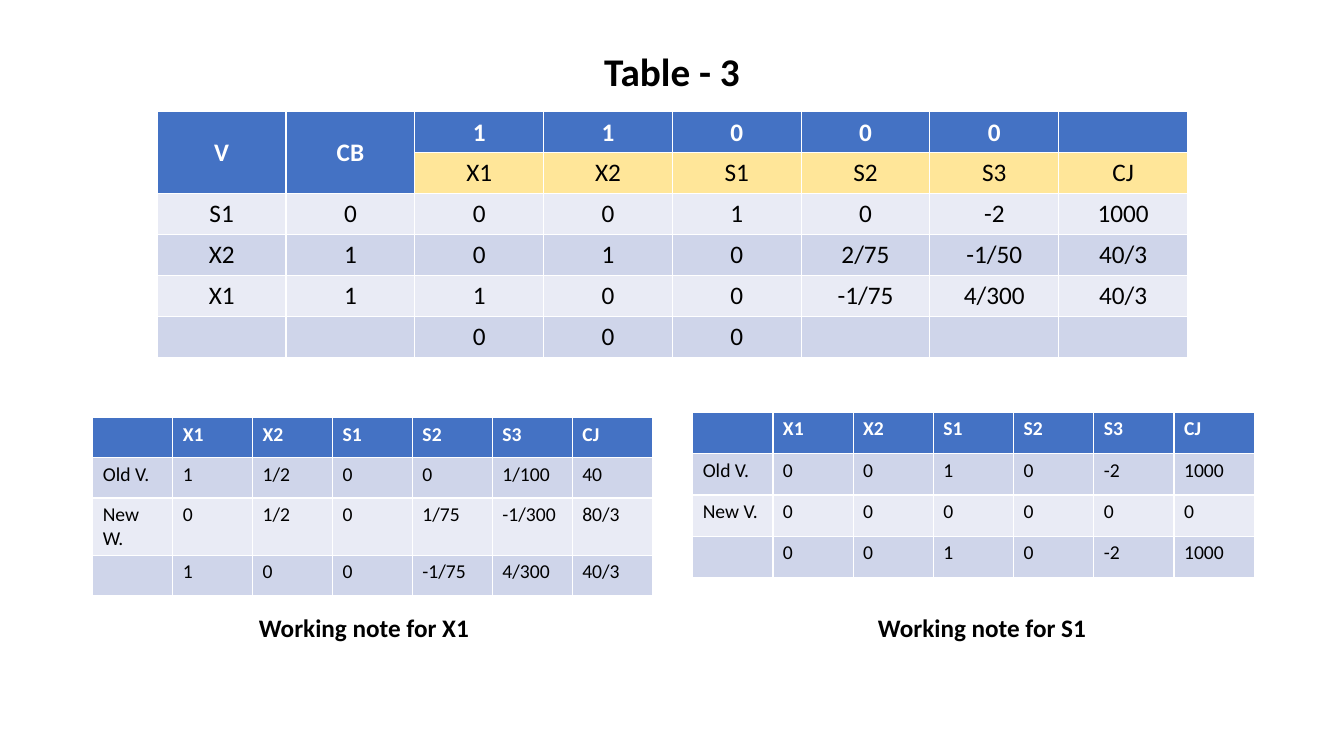
"""Builds the simplex Table - 3 slide with its two working notes."""
from pptx import Presentation, util as u
from pptx.dml.color import RGBColor
from pptx.enum import text

TITLE = ("Table - 3", 4.61, 0.42, 4.11, 0.57, 28)
NOTES = [
    ("Working note for X1", 1.67, 6.03, 3.88, 0.4, 18),
    ("Working note for S1", 7.8, 6.03, 3.88, 0.4, 18),
]
SIMPLEX = [
    ["V", "CB", "1", "1", "0", "0", "0", ""],
    ["", "", "X1", "X2", "S1", "S2", "S3", "CJ"],
    ["S1", "0", "0", "0", "1", "0", "-2", "1000"],
    ["X2", "1", "0", "1", "0", "2/75", "-1/50", "40/3"],
    ["X1", "1", "1", "0", "0", "-1/75", "4/300", "40/3"],
    ["", "", "0", "0", "0", "", "", ""],
]
HEADINGS = ["", "X1", "X2", "S1", "S2", "S3", "CJ"]
X1_WORKING = [
    HEADINGS,
    ["Old V.", "1", "1/2", "0", "0", "1/100", "40"],
    ["New W.", "0", "1/2", "0", "1/75", "-1/300", "80/3"],
    ["", "1", "0", "0", "-1/75", "4/300", "40/3"],
]
S1_WORKING = [
    HEADINGS,
    ["Old V.", "0", "0", "1", "0", "-2", "1000"],
    ["New V.", "0", "0", "0", "0", "0", "0"],
    ["", "0", "0", "1", "0", "-2", "1000"],
]
FONT = "Calibri"
BLUE, YELLOW, BANDS = "4472C4", "FFE699", ("E9EBF5", "CFD5EA")
BLACK, WHITE = "000000", "FFFFFF"


def paint(target, color):
    target.rgb = RGBColor.from_string(color)


def style(paragraph, size, color, bold, centred):
    paragraph.font.name = FONT
    paragraph.font.size = u.Pt(size)
    paragraph.font.bold = bold
    paint(paragraph.font.color, color)
    paragraph.alignment = text.PP_ALIGN.CENTER if centred else text.PP_ALIGN.LEFT


def add_caption(slide, words, left, top, width, height, size):
    box = slide.shapes.add_textbox(*map(u.Inches, (left, top, width, height)))
    frame = box.text_frame
    frame.word_wrap = True
    frame.auto_size = text.MSO_AUTO_SIZE.SHAPE_TO_FIT_TEXT
    frame.text = words
    style(frame.paragraphs[0], size, BLACK, True, True)


def add_grid(slide, rows, left, top, width, row_height, size, centred=False, subheader=False):
    area = (left, top, width, row_height * len(rows))
    grid = slide.shapes.add_table(len(rows), len(rows[0]), *map(u.Inches, area)).table
    for r, row in enumerate(rows):
        for c, words in enumerate(row):
            cell = grid.cell(r, c)
            cell.text = words
            fill = BLUE if r == 0 else YELLOW if subheader and r == 1 else BANDS[r % 2]
            cell.fill.solid()
            paint(cell.fill.fore_color, fill)
            if centred:
                cell.vertical_anchor = text.MSO_ANCHOR.MIDDLE
            style(cell.text_frame.paragraphs[0], size, BLACK if r else WHITE, r == 0, centred)
    return grid


def main():
    deck = Presentation()
    deck.slide_width, deck.slide_height = u.Inches(13.33), u.Inches(7.5)
    slide = deck.slides.add_slide(deck.slide_layouts[6])

    add_caption(slide, *TITLE)
    simplex = add_grid(slide, SIMPLEX, 1.56, 1.11, 10.22, 0.407, 18, centred=True, subheader=True)
    for c in range(2):
        simplex.cell(0, c).merge(simplex.cell(1, c))
    add_grid(slide, X1_WORKING, 0.92, 4.14, 5.55, 0.4, 14)
    add_grid(slide, S1_WORKING, 6.87, 4.09, 5.57, 0.41, 14)
    for note in NOTES:
        add_caption(slide, *note)

    deck.save("out.pptx")


if __name__ == "__main__":
    main()
